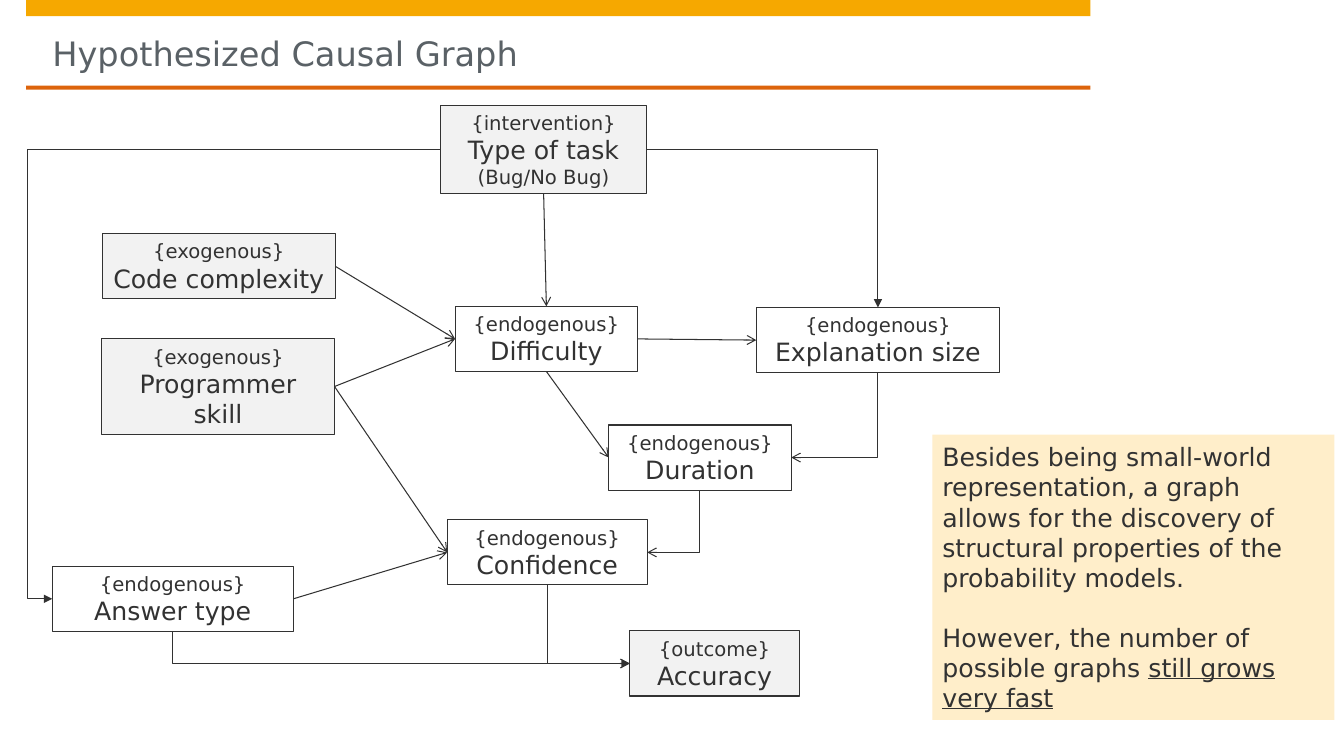
import pptx
import pptx.dml.color
import pptx.enum.shapes
import pptx.enum.text
import pptx.oxml
import pptx.oxml.ns
import pptx.util

Cm = pptx.util.Cm
Pt = pptx.util.Pt
qn = pptx.oxml.ns.qn
SHAPE = pptx.enum.shapes.MSO_SHAPE
CONNECTOR = pptx.enum.shapes.MSO_CONNECTOR
ANCHOR = pptx.enum.text.MSO_ANCHOR
ALIGN = pptx.enum.text.PP_ALIGN

INK = "323232"
GREY = "F2F2F2"
WHITE = "FFFFFF"
TOP, LEFT, BOTTOM, RIGHT = range(4)

NODES = {
    "task": (10.42, 0, 5.2, 2.23, GREY, "{intervention}", "Type of task ", "(Bug/No Bug)"),
    "complexity": (1.9, 3.24, 5.87, 1.64, GREY, "{exogenous}", "Code complexity", ""),
    "skill": (1.88, 5.89, 5.87, 2.4, GREY, "{exogenous}", "Programmer skill", ""),
    "difficulty": (10.79, 5.07, 4.6, 1.64, WHITE, "{endogenous}", "Difficulty", ""),
    "explanation": (18.38, 5.1, 6.13, 1.64, WHITE, "{endogenous}", "Explanation size", ""),
    "duration": (14.66, 8.06, 4.6, 1.64, WHITE, "{endogenous}", "Duration", ""),
    "confidence": (10.59, 10.45, 5.04, 1.64, WHITE, "{endogenous}", "Confidence", ""),
    "answer": (0.64, 11.62, 6.07, 1.64, WHITE, "{endogenous}", "Answer type", ""),
    "accuracy": (15.19, 13.25, 4.28, 1.64, GREY, "{outcome}", "Accuracy", ""),
}

STRAIGHT_EDGES = [
    ("task", BOTTOM, "difficulty", TOP),
    ("complexity", RIGHT, "difficulty", LEFT),
    ("skill", RIGHT, "difficulty", LEFT),
    ("skill", RIGHT, "confidence", LEFT),
    ("difficulty", RIGHT, "explanation", LEFT),
    ("difficulty", BOTTOM, "duration", LEFT),
    ("answer", RIGHT, "confidence", LEFT),
]

CORNER_EDGES = [
    ("explanation", BOTTOM, "duration", RIGHT, "arrow"),
    ("duration", BOTTOM, "confidence", RIGHT, "arrow"),
    ("confidence", BOTTOM, "accuracy", LEFT, "arrow"),
    ("answer", BOTTOM, "accuracy", LEFT, "triangle"),
    ("task", RIGHT, "explanation", TOP, "triangle"),
]


def rgb(value):
    return pptx.dml.color.RGBColor.from_string(value)


def add_text(p, text, size=18, color=INK, underline=None):
    r = p.add_run()
    r.text = text
    r.font.name = "DejaVu Sans"
    r.font.size = Pt(size)
    r.font.color.rgb = rgb(color)
    r.font.underline = underline


def add_rect(s, x, y, w, h, fill, line=None):
    sp = s.shapes.add_shape(SHAPE.RECTANGLE, Cm(x), Cm(y), Cm(w), Cm(h))
    sp.shadow.inherit = False
    sp.fill.solid()
    sp.fill.fore_color.rgb = rgb(fill)
    if line:
        sp.line.color.rgb = rgb(line)
        sp.line.width = Pt(0.75)
    else:
        sp.line.fill.background()
    tf = sp.text_frame
    tf.word_wrap = True
    tf.vertical_anchor = ANCHOR.MIDDLE
    return sp


def side_point(sp, side):
    fx, fy = [(0.5, 0), (0, 0.5), (0.5, 1), (1, 0.5)][side]
    return int(sp.left + fx * sp.width), int(sp.top + fy * sp.height)


def add_arrow(s, kind, start, start_side, end, end_side, head="arrow"):
    c = s.shapes.add_connector(kind, *side_point(start, start_side), *side_point(end, end_side))
    c.begin_connect(start, start_side)
    c.end_connect(end, end_side)
    c.line.color.rgb = rgb(INK)
    c.line.width = Pt(0.75)
    ln = c.line._get_or_add_ln()
    pptx.oxml.ns.nsdecls("a")
    ln.append(pptx.oxml.parse_xml(f'<a:tailEnd {pptx.oxml.ns.nsdecls("a")} type="{head}"/>'))
    c._element.spPr.append(pptx.oxml.parse_xml(f'<a:effectLst {pptx.oxml.ns.nsdecls("a")}/>'))
    return c


def turn_one_corner(c, vertical_first):
    c._element.spPr.find(qn("a:prstGeom")).set("prst", "bentConnector2")
    if not vertical_first:
        return
    dx, dy = c.end_x - c.begin_x, c.end_y - c.begin_y
    mid_x, mid_y = (c.begin_x + c.end_x) // 2, (c.begin_y + c.end_y) // 2
    xfrm = c._element.spPr.find(qn("a:xfrm"))
    xfrm.set("rot", "5400000")
    xfrm.set("flipH", "0")
    xfrm.set("flipV", "1" if dx > 0 else "0")
    c.width, c.height = abs(dy), abs(dx)
    c.left, c.top = mid_x - c.width // 2, mid_y - c.height // 2


def loop_past_end(c, lane_x):
    ratio = (c.begin_x - lane_x) / (c.begin_x - c.end_x)
    geom = c._element.spPr.find(qn("a:prstGeom"))
    guides = geom.find(qn("a:avLst"))
    guides.append(pptx.oxml.parse_xml(
        f'<a:gd {pptx.oxml.ns.nsdecls("a")} name="adj1" fmla="val {round(ratio * 100000)}"/>'))


def build_header(s, x, y, w):
    add_rect(s, x, y, w, 0.41, "F6A800")
    add_rect(s, x, y + 2.16, w, 0.1, "DD640C")
    title = s.shapes.title
    title.left, title.top = Cm(x + 0.66), Cm(y + 0.41)
    title.width, title.height = Cm(w - 1.34), Cm(1.42)
    tf = title.text_frame
    tf.auto_size = pptx.enum.text.MSO_AUTO_SIZE.NONE
    tf.word_wrap = True
    tf.vertical_anchor = ANCHOR.TOP
    tf.margin_left = tf.margin_right = tf.margin_bottom = 0
    tf.margin_top = Cm(0.41)
    p = tf.paragraphs[0]
    p.alignment = ALIGN.LEFT
    add_text(p, "Hypothesized Causal Graph", size=24, color="5A6166")


def build_node(s, x, y, w, h, fill, role, name, detail):
    sp = add_rect(s, x, y, w, h, fill, INK)
    tf = sp.text_frame
    p = tf.paragraphs[0]
    p.alignment = ALIGN.CENTER
    add_text(p, role, size=14)
    p = tf.add_paragraph()
    p.alignment = ALIGN.CENTER
    add_text(p, name)
    if detail:
        add_text(p, detail, size=14)
    return sp


def build_graph(s, x, y):
    nodes = {key: build_node(s, x + dx, y + dy, *rest)
             for key, (dx, dy, *rest) in NODES.items()}
    for start, start_side, end, end_side in STRAIGHT_EDGES:
        add_arrow(s, CONNECTOR.STRAIGHT, nodes[start], start_side, nodes[end], end_side)
    for start, start_side, end, end_side, head in CORNER_EDGES:
        c = add_arrow(s, CONNECTOR.ELBOW, nodes[start], start_side, nodes[end], end_side, head)
        turn_one_corner(c, start_side == BOTTOM)
    c = add_arrow(s, CONNECTOR.ELBOW, nodes["task"], LEFT, nodes["answer"], LEFT, "triangle")
    loop_past_end(c, Cm(x))


def build_note(s, x, y, w, h):
    tf = add_rect(s, x, y, w, h, "FFEECA").text_frame
    p = tf.paragraphs[0]
    p.alignment = ALIGN.LEFT
    add_text(p, "Besides being small-world representation, a graph allows for the discovery "
                "of structural properties of the probability models.")
    p = tf.add_paragraph()
    p.alignment = ALIGN.LEFT
    p.space_before = Pt(21)
    add_text(p, "However, the number of possible graphs ")
    add_text(p, "still grows very fast", underline=True)


def main():
    prs = pptx.Presentation()
    prs.slide_width, prs.slide_height = Cm(33.87), Cm(19.05)
    s = prs.slides.add_slide(prs.slide_layouts[5])
    build_header(s, 0.66, 0, 26.82)
    build_graph(s, 0.68, 2.65)
    build_note(s, 23.5, 10.95, 10.13, 7.19)
    prs.save("out.pptx")


if __name__ == "__main__":
    main()
